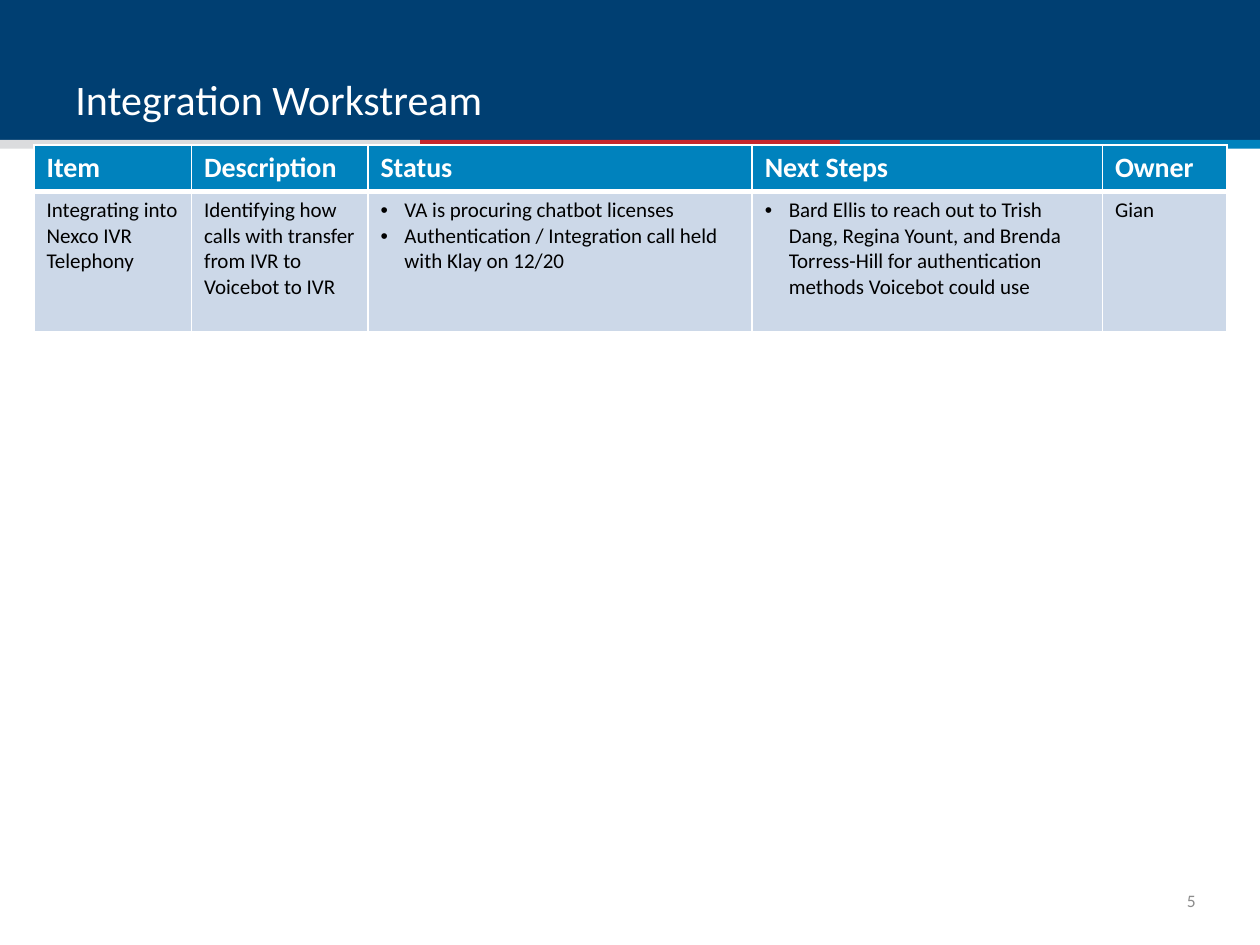
from dataclasses import dataclass

from lxml import etree
from pptx import Presentation
from pptx import util as u
from pptx.dml.color import RGBColor
from pptx.enum import shapes, text
from pptx.oxml.ns import qn


@dataclass(frozen=True)
class Theme:
    font: str = "Calibri"
    navy: str = "003F72"
    blue: str = "0082BD"
    red: str = "C6262D"
    gray: str = "DBDCDE"
    pale: str = "CCD8E8"
    white: str = "FFFFFF"
    black: str = "000000"
    muted: str = "8C8C8C"
    title: int = 24
    head: int = 16
    body: int = 12
    page: int = 10


class Deck:
    def __init__(self, theme, slide):
        self.theme = theme
        self.slide = slide

    def style(self, para, size, color, bold=False):
        font = para.font
        font.name = self.theme.font
        font.size = u.Pt(size)
        font.bold = bold
        font.color.rgb = RGBColor.from_string(color)

    def bar(self, x, y, w, h, color):
        box = self.slide.shapes.add_shape(
            shapes.MSO_SHAPE.RECTANGLE, *map(u.Inches, (x, y, w, h)))
        box.shadow.inherit = False
        box.fill.solid()
        box.fill.fore_color.rgb = RGBColor.from_string(color)
        box.line.fill.background()

    def label(self, x, y, w, h, words, size, color, anchor, align, pad):
        box = self.slide.shapes.add_textbox(*map(u.Inches, (x, y, w, h)))
        frame = box.text_frame
        frame.word_wrap = True
        frame.vertical_anchor = anchor
        frame.margin_left = frame.margin_right = u.Inches(pad)
        frame.margin_top = frame.margin_bottom = u.Inches(pad / 2)
        para = frame.paragraphs[0]
        para.text = words
        para.alignment = align
        self.style(para, size, color)

    def bullet(self, para):
        props = para._p.get_or_add_pPr()
        props.set("marL", str(u.Inches(0.19)))
        props.set("indent", str(-u.Inches(0.19)))
        etree.SubElement(props, qn("a:buFont"), typeface="Arial")
        etree.SubElement(props, qn("a:buChar"), char="•")

    def border(self, cell, top, bottom):
        props = cell._tc.get_or_add_tcPr()
        for side, width in zip("LRTB", (1, 1, top, bottom)):
            line = etree.SubElement(props, qn(f"a:ln{side}"), w=str(u.Pt(width)))
            fill = etree.SubElement(line, qn("a:solidFill"))
            etree.SubElement(fill, qn("a:srgbClr"), val=self.theme.white)

    def cell(self, cell, value, head):
        t = self.theme
        self.border(cell, 1 if head else 3, 3 if head else 1)
        cell.fill.solid()
        cell.fill.fore_color.rgb = RGBColor.from_string(t.blue if head else t.pale)
        # A list of lines becomes bullets; a string stays plain
        listed = isinstance(value, list)
        cell.text = "\n".join(value) if listed else value
        for para in cell.text_frame.paragraphs:
            if listed:
                self.bullet(para)
            if head:
                self.style(para, t.head, t.white, True)
            else:
                self.style(para, t.body, t.black)

    def table(self, x, y, cols, rows, data):
        grid = self.slide.shapes.add_table(
            len(rows), len(cols),
            *map(u.Inches, (x, y, sum(cols), sum(rows)))).table
        for col, width in zip(grid.columns, cols):
            col.width = u.Inches(width)
        for row, height in zip(grid.rows, rows):
            row.height = u.Inches(height)
        for r, line in enumerate(data):
            for c, value in enumerate(line):
                self.cell(grid.cell(r, c), value, r == 0)


def main():
    t = Theme()
    prs = Presentation()
    prs.slide_width, prs.slide_height = u.Inches(10), u.Inches(7.5)
    deck = Deck(t, prs.slides.add_slide(prs.slide_layouts[6]))

    # Banner with a three-colour stripe
    deck.bar(0, 0, 10, 1.14, t.navy)
    third = 10 / 3
    for i, color in enumerate((t.gray, t.red, t.blue)):
        deck.bar(i * third, 1.11, third, 0.07, color)

    # Title and page number
    deck.label(0.5, 0.14, 9, 0.89, "Integration Workstream", t.title, t.white,
               text.MSO_ANCHOR.BOTTOM, text.PP_ALIGN.LEFT, 0.1)
    deck.label(9.22, 6.95, 0.27, 0.4, "5", t.page, t.muted,
               text.MSO_ANCHOR.MIDDLE, text.PP_ALIGN.RIGHT, 0)

    # Work items
    deck.table(0.27, 1.15, (1.25, 1.4, 3.05, 2.78, 0.99), (0.37, 1.11), (
        ("Item", "Description", "Status", "Next Steps", "Owner"),
        ("Integrating into Nexco IVR Telephony",
         "Identifying how calls with transfer from IVR to Voicebot to IVR",
         ["VA is procuring chatbot licenses",
          "Authentication / Integration call held with Klay on 12/20"],
         ["Bard Ellis to reach out to Trish Dang, Regina Yount, and Brenda "
          "Torress-Hill for authentication methods Voicebot could use"],
         "Gian"),
    ))

    prs.save("out.pptx")


if __name__ == "__main__":
    main()
